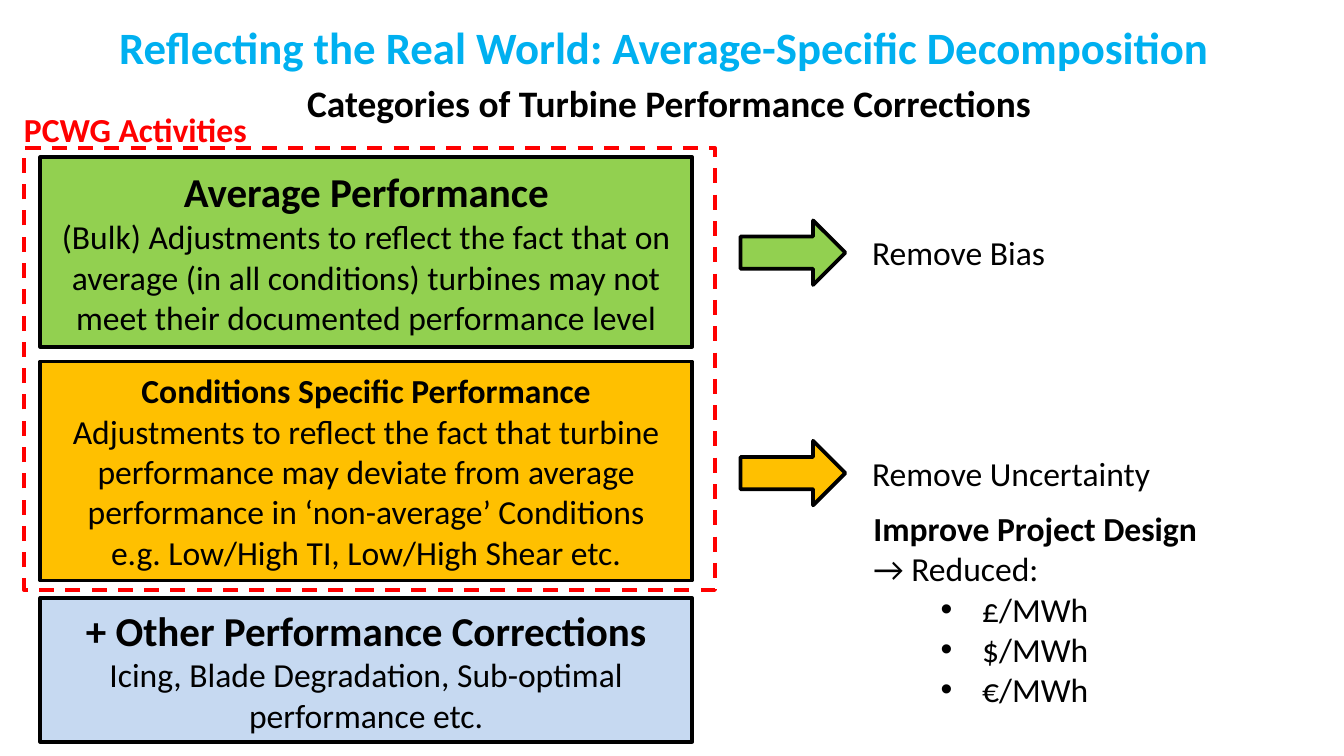
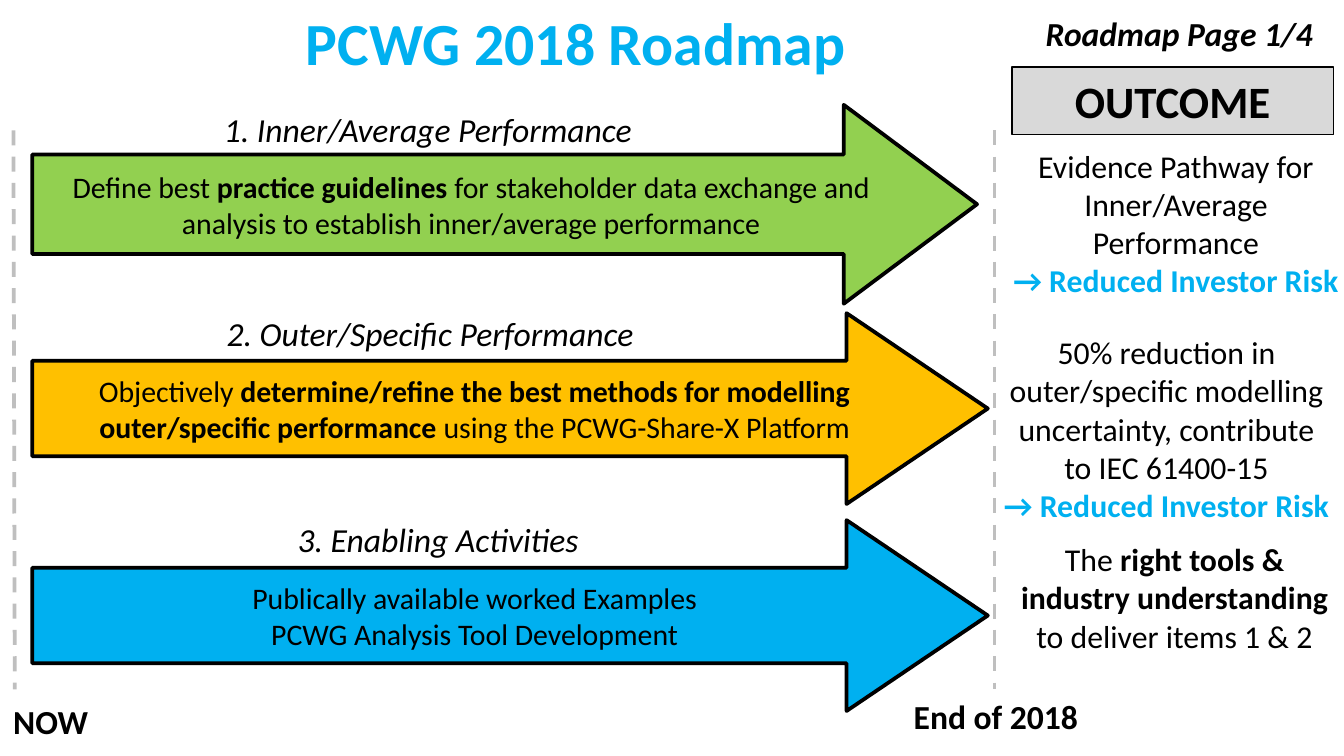
from dataclasses import dataclass

from lxml.etree import SubElement
from pptx import Presentation
from pptx.dml.color import RGBColor
from pptx.enum.dml import MSO_LINE
from pptx.enum.shapes import MSO_CONNECTOR, MSO_SHAPE
from pptx.enum.text import MSO_ANCHOR, MSO_AUTO_SIZE, PP_ALIGN
from pptx.oxml.ns import qn
from pptx.util import Inches, Pt


@dataclass(frozen=True)
class Theme:
    font: str = "Calibri"
    black: str = "000000"
    red: str = "FF0000"
    blue: str = "00B0F0"
    green: str = "92D050"
    amber: str = "FFC000"
    pale_blue: str = "C6D9F1"
    light_grey: str = "D9D9D9"
    guide_grey: str = "BFBFBF"
    roadmap_title: int = 32
    title: int = 24
    heading: int = 22
    subtitle: int = 20
    body: int = 18
    outcome: int = 17
    arrow: int = 16
    outline: float = 2
    thin: float = 0.75


THEME = Theme()
LEFT, CENTER = PP_ALIGN.LEFT, PP_ALIGN.CENTER


def write(box, *lines, align=CENTER, middle=False, wrap=True, **style):
    """Fill box with lines, each a string or (string, style); ** toggles bold."""
    frame = box.text_frame
    frame.word_wrap = wrap
    frame.vertical_anchor = MSO_ANCHOR.MIDDLE if middle else MSO_ANCHOR.TOP
    frame.auto_size = MSO_AUTO_SIZE.NONE if middle else MSO_AUTO_SIZE.SHAPE_TO_FIT_TEXT
    for index, line in enumerate(lines):
        text, own_style = (line, {}) if isinstance(line, str) else line
        look = {"size": THEME.body, "color": THEME.black, "bold": False, "italic": False}
        look |= style | own_style
        para = frame.paragraphs[0] if index == 0 else frame.add_paragraph()
        para.alignment = align
        for part, words in enumerate(text.split("**")):
            if not words:
                continue
            span = para.add_run()
            span.text = words
            values = {
                "name": THEME.font,
                "size": Pt(look["size"]),
                "bold": look["bold"] or part % 2 == 1,
                "italic": look["italic"],
            }
            for name, value in values.items():
                setattr(span.font, name, value)
            span.font.color.rgb = RGBColor.from_string(look["color"])
    return box


def add_outlined(page, preset, place, fill=None, line=THEME.black, width=THEME.outline):
    shape = page.shapes.add_shape(preset, *map(Inches, place))
    shape.shadow.inherit = False
    if fill:
        shape.fill.solid()
        shape.fill.fore_color.rgb = RGBColor.from_string(fill)
    else:
        shape.fill.background()
    shape.line.color.rgb = RGBColor.from_string(line)
    shape.line.width = Pt(width)
    return shape


deck = Presentation()
deck.slide_width = Inches(10)
deck.slide_height = deck.slide_width * 9 // 16
blank = deck.slide_layouts[6]

# Slide 1: categories of corrections
page = deck.slides.add_slide(blank)
box = page.shapes.add_textbox(Inches(0.18), Inches(0.56), Inches(9.6), Inches(0.4))
write(box, "Categories of Turbine Performance Corrections",
      middle=True, size=THEME.subtitle, bold=True)
box = page.shapes.add_textbox(Inches(0.04), Inches(0.1), Inches(9.8), Inches(0.5))
write(box, "Reflecting the Real World: Average-Specific Decomposition",
      size=THEME.title, color=THEME.blue, bold=True)

categories = [
    (1.17, 1.41, THEME.green, THEME.heading, "Average Performance",
     ["(Bulk) Adjustments to reflect the fact that on average (in all conditions) "
      "turbines may not meet their documented performance level"]),
    (2.69, 1.63, THEME.amber, THEME.body, "Conditions Specific Performance",
     ["Adjustments to reflect the fact that turbine performance may deviate from "
      "average performance in ‘non-average’ Conditions",
      "e.g. Low/High TI, Low/High Shear etc."]),
    (4.45, 1.07, THEME.pale_blue, THEME.heading, "+ Other Performance Corrections",
     ["Icing, Blade Degradation, Sub-optimal performance etc."]),
]
for top, height, fill, size, heading, details in categories:
    panel = add_outlined(page, MSO_SHAPE.RECTANGLE, (0.3, top, 4.85, height), fill)
    write(panel, (heading, {"size": size, "bold": True}), *details, middle=True)

activities = add_outlined(page, MSO_SHAPE.RECTANGLE, (0.18, 1.1, 5.14, 3.29), line=THEME.red)
activities.line.dash_style = MSO_LINE.DASH
box = page.shapes.add_textbox(Inches(0.08), Inches(0.76), Inches(2.15), Inches(0.4))
write(box, "PCWG Activities", align=LEFT, color=THEME.red, bold=True)

for top, fill, width, benefit in [
    (1.64, THEME.green, 1.5, "Remove Bias"),
    (3.28, THEME.amber, 2.29, "Remove Uncertainty"),
]:
    add_outlined(page, MSO_SHAPE.RIGHT_ARROW, (5.51, top, 0.78, 0.48), fill)
    box = page.shapes.add_textbox(Inches(6.39), Inches(top + 0.04), Inches(width), Inches(0.4))
    write(box, benefit, align=LEFT, wrap=False)

box = page.shapes.add_textbox(Inches(6.4), Inches(3.73), Inches(2.63), Inches(1.62))
write(box, ("Improve Project Design", {"bold": True}), "→ Reduced:",
      "£/MWh", "$/MWh", "€/MWh", align=LEFT, wrap=False)
for para in box.text_frame.paragraphs[2:]:
    para.level = 1
    properties = para._p.get_or_add_pPr()
    properties.set("marL", str(Inches(0.81)))
    properties.set("indent", str(Inches(-0.31)))
    SubElement(properties, qn("a:buFont"), typeface="Arial")
    SubElement(properties, qn("a:buChar"), char="•")

# Slide 2: roadmap
page = deck.slides.add_slide(blank)
box = page.shapes.add_textbox(Inches(1.17), Inches(0.11), Inches(6.23), Inches(0.4))
write(box, "PCWG 2018 Roadmap",
      middle=True, size=THEME.roadmap_title, color=THEME.blue, bold=True)
box = page.shapes.add_textbox(Inches(7.53), Inches(0.05), Inches(2.49), Inches(0.4))
write(box, "Roadmap Page 1/4", bold=True, italic=True)

for start, end in [(0.1, 0.11), (7.4, 7.4)]:
    guide = page.shapes.add_connector(
        MSO_CONNECTOR.STRAIGHT, Inches(start), Inches(0.97), Inches(end), Inches(5.13))
    guide.line.color.rgb = RGBColor.from_string(THEME.guide_grey)
    guide.line.width = Pt(THEME.outline)
    guide.line.dash_style = MSO_LINE.DASH
    SubElement(guide._element.spPr, qn("a:effectLst"))

workstreams = [
    ((0.24, 0.78, 7.03, 1.48), 0.67, THEME.green,
     (0.18, 0.76, 6.01, 0.4), "1. Inner/Average Performance",
     ["Define best **practice guidelines **for stakeholder data exchange and analysis "
      "to establish inner/average performance"]),
    ((0.24, 2.33, 7.11, 1.42), 0.74, THEME.amber,
     (0.24, 2.28, 5.92, 0.4), "2. Outer/Specific Performance",
     ["Objectively **determine/refine the best methods for modelling outer/specific "
      "performance **using the PCWG-Share-X Platform"]),
    ((0.24, 3.87, 7.11, 1.42), 0.74, THEME.blue,
     (0.3, 3.81, 5.92, 0.4), "3. Enabling Activities",
     ["Publically available worked Examples", "PCWG Analysis Tool Development"]),
]
for place, head_length, fill, label_place, label, tasks in workstreams:
    arrow = add_outlined(page, MSO_SHAPE.RIGHT_ARROW, place, fill)
    arrow.adjustments[1] = head_length
    write(arrow, *tasks, middle=True, size=THEME.arrow)
    box = page.shapes.add_textbox(*map(Inches, label_place))
    write(box, label, italic=True)

header = add_outlined(page, MSO_SHAPE.RECTANGLE, (7.53, 0.5, 2.39, 0.5),
                      THEME.light_grey, width=THEME.thin)
write(header, "OUTCOME", size=THEME.title, bold=True)

reduced_risk = ("→ Reduced Investor Risk", {"color": THEME.blue, "bold": True})
outcomes = [
    ((7.36, 1.04, 2.78, 1.25),
     ["Evidence Pathway for Inner/Average Performance", reduced_risk]),
    ((7.36, 2.43, 2.64, 1.53),
     ["50% reduction in outer/specific modelling uncertainty, contribute to IEC 61400-15",
      reduced_risk]),
    ((7.42, 3.97, 2.64, 0.96),
     ["The **right tools & industry understanding **to deliver items 1 & 2"]),
]
for place, lines in outcomes:
    write(page.shapes.add_textbox(*map(Inches, place)), *lines, size=THEME.outcome)

for place, date in [((0, 5.17, 0.83, 0.4), "NOW"), ((6.7, 5.13, 1.48, 0.4), "End of 2018")]:
    write(page.shapes.add_textbox(*map(Inches, place)), date, align=LEFT, bold=True)

deck.save("out.pptx")
